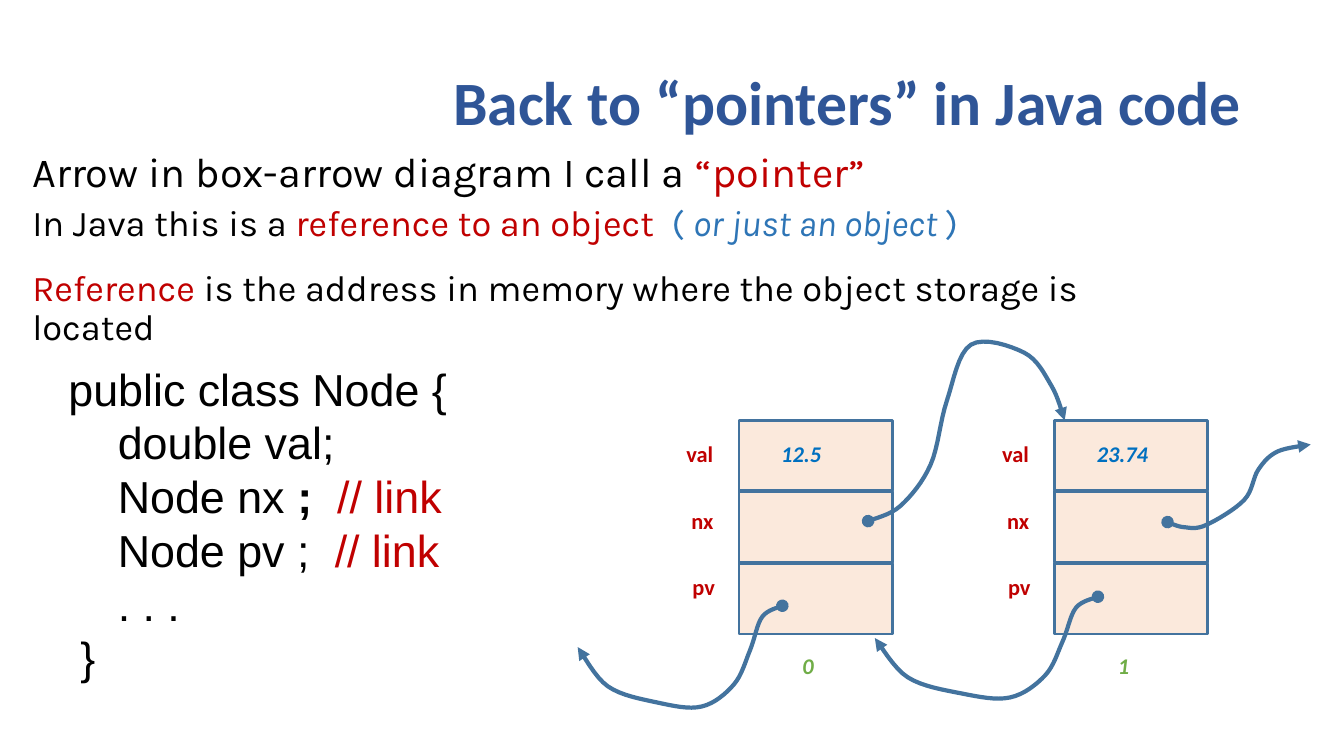
"""Build a slide on pointers in Java with a doubly linked box-and-arrow diagram."""
import pptx
import pptx.dml.color
import pptx.enum.shapes
import pptx.enum.text
import pptx.oxml
import pptx.oxml.ns
import pptx.util

Inches = pptx.util.Inches
Pt = pptx.util.Pt
ALIGN = pptx.enum.text.PP_ALIGN
ANCHOR = pptx.enum.text.MSO_ANCHOR
FIT = pptx.enum.text.MSO_AUTO_SIZE

BLACK, RED, BLUE = "000000", "C00000", "2E75B6"
VALUE_BLUE, INDEX_GREEN, TITLE_BLUE = "0070C0", "70AD47", "2F5597"

FIRST_NODE_LEFT, NODE_PITCH = 7.33, 3.13
CELL_TOP, CELL_PITCH, CELL_WIDTH, CELL_HEIGHT = 4.17, 0.71, 1.52, 0.7
LABEL_TOP, LABEL_PITCH = 4.32, 0.66
FIELD_OFFSETS = {"val": -0.62, "nx": -0.57, "pv": -0.56}
NODE_VALUES = ["12.5", "23.74"]

PREVIOUS_BENDS = [(0, 0), (-0.2, 0.11), (-0.32, 0.44), (-0.48, 0.78),
                  (-0.8, 1), (-1.24, 0.96), (-1.73, 0.8), (-2.03, 0.41)]
NEXT_NODE_BENDS = [(0, 0), (0.32, -0.15), (0.62, -0.56), (0.78, -1.19),
                   (1.02, -1.75), (1.55, -1.67), (1.82, -1.34), (1.95, -1)]
NEXT_AWAY_BENDS = [(0, 0), (0.16, 0.05), (0.38, 0.03), (0.76, -0.22),
                   (0.9, -0.52), (1.09, -0.7), (1.42, -0.77)]
POINTERS = [
    ((7.76, 6.01), PREVIOUS_BENDS, 1),
    ((10.89, 5.92), PREVIOUS_BENDS, 1.09),
    ((8.61, 5.17), NEXT_NODE_BENDS, 1),
    ((11.58, 5.18), NEXT_AWAY_BENDS, 1),
]

STATEMENTS = [
    (29.6, 6, [("Arrow in box-arrow diagram I call a ", BLACK), ("“pointer”", RED)]),
    (25.9, 6, [("In Java this is a ", BLACK), ("reference to an object  ", RED),
               ("( ", BLUE), ("or just an object ", BLUE, "italic"), (")", BLUE)]),
    (25.9, 18, [("Reference ", RED),
                ("is the address in memory where the object storage is located", BLACK)]),
]
MEMBER_INDENT, BRACE_INDENT = 0.49, 0.12
CODE = [
    (0, [("public class Node {", BLACK)]),
    (MEMBER_INDENT, [("double val;", BLACK)]),
    (MEMBER_INDENT, [("Node nx ", BLACK), (";  ", BLACK, "bold"), ("// link", RED)]),
    (MEMBER_INDENT, [("Node pv ;  ", BLACK), ("// link", RED)]),
    (MEMBER_INDENT, [(". . .", BLACK)]),
    (BRACE_INDENT, [("}", BLACK)]),
]


def color(hex_text):
    return pptx.dml.color.RGBColor.from_string(hex_text)


def element(tag, **attributes):
    node = pptx.oxml.parse_xml(f"<a:{tag} {pptx.oxml.ns.nsdecls('a')}/>")
    for name, value in attributes.items():
        node.set(name, value)
    return node


def spline(before, start, end, after, t):
    return 0.5 * (2 * start + (end - before) * t
                  + (2 * before - 5 * start + 4 * end - after) * t ** 2
                  + (3 * start - before - 3 * end + after) * t ** 3)


def smooth(bends, steps=8):
    padded = [bends[0], *bends, bends[-1]]
    curve = [bends[0]]
    for knots in zip(padded, padded[1:], padded[2:], padded[3:]):
        xs, ys = zip(*knots)
        for step in range(1, steps + 1):
            curve.append((spline(*xs, step / steps), spline(*ys, step / steps)))
    return curve


class NodeSlide:
    outline = "43739E"
    box_fill = "F4B183"
    box_alpha = "28000"

    def __init__(self, slide):
        self.slide = slide

    def place(self, shape, left, top, width, height):
        shape.left, shape.top = Inches(left), Inches(top)
        shape.width, shape.height = Inches(width), Inches(height)

    def add_run(self, paragraph, text, font, size, hex_text, bold=False, italic=False):
        run = paragraph.add_run()
        run.text = text
        run.font.name, run.font.size = font, Pt(size)
        run.font.bold, run.font.italic = bold, italic
        run.font.color.rgb = color(hex_text)

    def paragraphs(self, frame, count):
        return [frame.paragraphs[0]] + [frame.add_paragraph() for _ in range(count - 1)]

    def title(self, text):
        heading = self.slide.shapes.title
        self.place(heading, 0.92, 0.4, 11.5, 1.3)
        heading.text_frame.auto_size = FIT.NONE
        heading.text_frame.vertical_anchor = ANCHOR.MIDDLE
        paragraph = heading.text_frame.paragraphs[0]
        paragraph.alignment, paragraph.line_spacing = ALIGN.RIGHT, 0.9
        self.add_run(paragraph, text, "Calibri", 44, TITLE_BLUE, bold=True)

    def body(self, statements):
        explanation = self.slide.placeholders[1]
        self.place(explanation, 0.22, 1.46, 11.79, 1.83)
        frame = explanation.text_frame
        frame.auto_size = FIT.NONE
        for paragraph, (size, before, runs) in zip(self.paragraphs(frame, len(statements)), statements):
            paragraph.line_spacing, paragraph.space_before = 0.9, Pt(before)
            properties = paragraph._p.get_or_add_pPr()
            properties.set("marL", "0")
            properties.set("indent", "0")
            properties.append(element("buNone"))
            for text, hex_text, *italic in runs:
                self.add_run(paragraph, text, "Karla", size, hex_text, italic=bool(italic))

    def code(self, lines, left, top, width, height):
        listing = self.slide.shapes.add_textbox(*map(Inches, (left, top, width, height)))
        frame = listing.text_frame
        frame.word_wrap, frame.auto_size = True, FIT.SHAPE_TO_FIT_TEXT
        frame.vertical_anchor = ANCHOR.MIDDLE
        for paragraph, (indent, runs) in zip(self.paragraphs(frame, len(lines)), lines):
            paragraph._p.get_or_add_pPr().set("marL", str(Inches(indent)))
            for text, hex_text, *bold in runs:
                self.add_run(paragraph, text, "Arial", 32, hex_text, bold=bool(bold))

    def label(self, text, left, top, width, hex_text, italic=False):
        caption = self.slide.shapes.add_textbox(*map(Inches, (left, top, width, 0.51)))
        caption.text_frame.word_wrap = True
        self.add_run(caption.text_frame.paragraphs[0], text, "Calibri", 16, hex_text, True, italic)

    def cell(self, left, top):
        box = self.slide.shapes.add_shape(
            pptx.enum.shapes.MSO_SHAPE.RECTANGLE,
            *map(Inches, (left, top, CELL_WIDTH, CELL_HEIGHT)))
        box.shadow.inherit = False
        box.fill.solid()
        box.fill.fore_color.rgb = color(self.box_fill)
        box.fill._xPr.find(".//" + pptx.oxml.ns.qn("a:srgbClr")).append(
            element("alpha", val=self.box_alpha))
        box.line.color.rgb, box.line.width = color(self.outline), Pt(2)

    def node(self, index, value):
        left = FIRST_NODE_LEFT + NODE_PITCH * index
        for row, (field, offset) in enumerate(FIELD_OFFSETS.items()):
            self.cell(left, CELL_TOP + CELL_PITCH * row)
            self.label(field, left + offset, LABEL_TOP + LABEL_PITCH * row, 0.74, RED)
        self.label(value, left + 0.32, LABEL_TOP, 0.87, VALUE_BLUE, italic=True)
        self.label(str(index), left + 0.53, 6.42, 0.54, INDEX_GREEN, italic=True)

    def pointer(self, origin, bends, stretch):
        x, y = origin
        start, *rest = [(Inches(x + stretch * dx), Inches(y + dy)) for dx, dy in smooth(bends)]
        builder = self.slide.shapes.build_freeform(*start)
        builder.add_line_segments(rest, close=False)
        curve = builder.convert_to_shape()
        curve.shadow.inherit = False
        curve.fill.background()
        curve.line.color.rgb, curve.line.width = color(self.outline), Pt(3)
        stroke = curve.line._get_or_add_ln()
        stroke.append(element("round"))
        stroke.append(element("headEnd", type="oval"))
        stroke.append(element("tailEnd", type="triangle"))


def main():
    deck = pptx.Presentation()
    deck.slide_width, deck.slide_height = Inches(13.33), Inches(7.5)
    lesson = NodeSlide(deck.slides.add_slide(deck.slide_layouts[1]))
    lesson.title("Back to “pointers” in Java code")
    lesson.body(STATEMENTS)
    for index, value in enumerate(NODE_VALUES):
        lesson.node(index, value)
    for origin, bends, stretch in POINTERS:
        lesson.pointer(origin, bends, stretch)
    lesson.code(CODE, 0.58, 3.52, 4.96, 3.33)
    deck.save("out.pptx")


if __name__ == "__main__":
    main()
